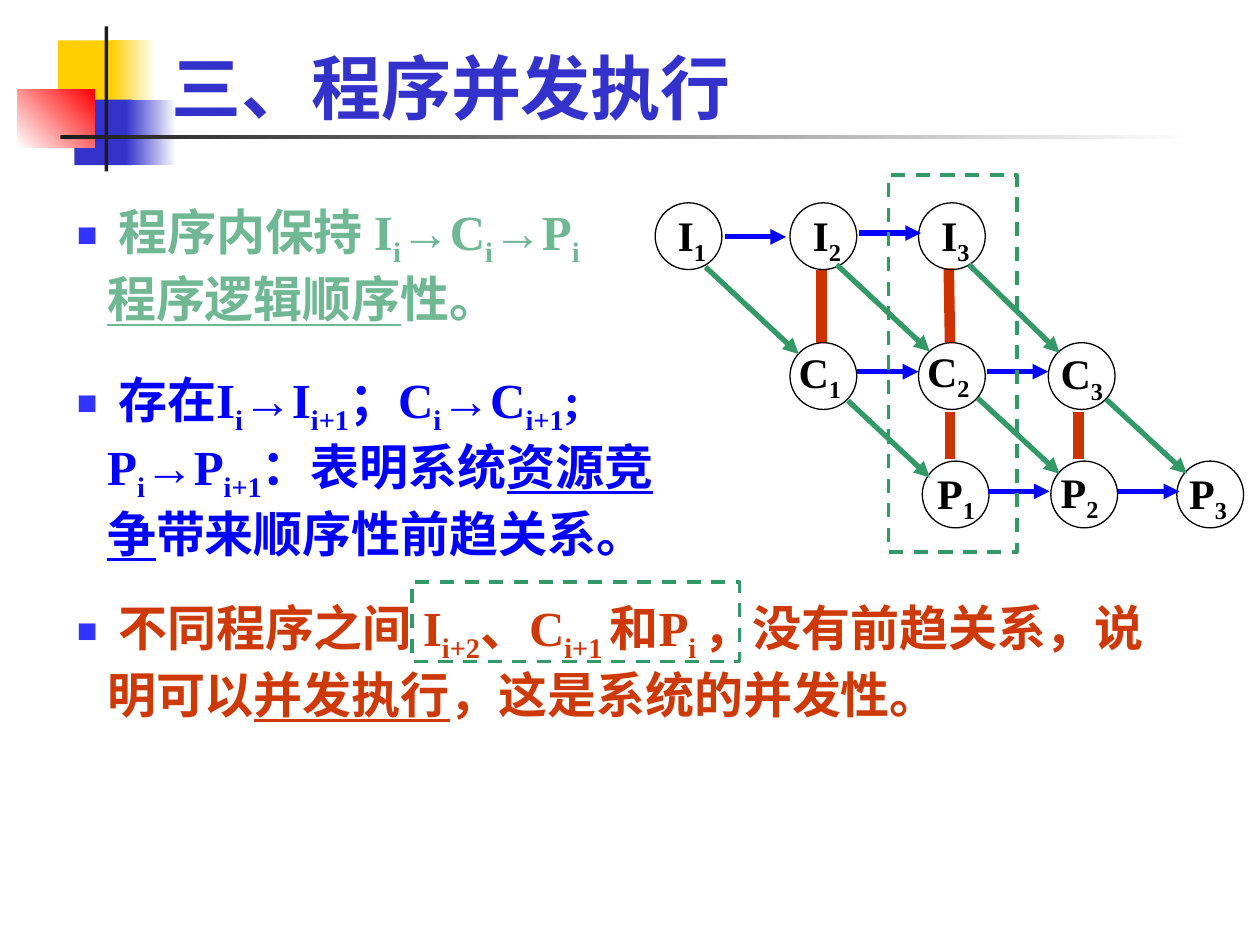
"""Build the slide on concurrent program execution with its precedence graph."""
from pptx import Presentation
from pptx.dml.color import RGBColor
from pptx.enum.dml import MSO_LINE
from pptx.enum.shapes import MSO_CONNECTOR, MSO_SHAPE
from pptx.enum.text import MSO_ANCHOR, MSO_AUTO_SIZE, PP_ALIGN
from pptx.oxml.ns import qn
from pptx.util import Inches, Pt
from lxml.etree import SubElement

LATIN, CJK = "Times New Roman", "Noto Sans CJK SC"
BLUE, GREEN, RED = "0000FF", "339966", "CC3300"
DIAMETER = 0.53

DECOR = [
    (0.46, 0.32, 0.48, 0.52, "FFCF01", None, 0),
    (0.88, 0.32, 0.36, 0.52, "FFCF01", "FFFFFF", 0),
    (0.59, 0.79, 0.46, 0.52, "3333CC", None, 0),
    (1.0, 0.79, 0.4, 0.52, "3333CC", "FFFFFF", 0),
    (0.14, 0.71, 0.61, 0.46, "FFFFFF", "FF0000", 45),
    (0.83, 0.21, 0.03, 1.15, "1C1C1C", None, 0),
    (0.48, 1.07, 9, 0.03, "1C1C1C", "FFFFFF", 0),
]
# In the point texts "|" parts the runs, "_" opens a subscript and "*" an underline.
POINTS = [
    (1, (0.51, 1.55, 4.41, 1.03), "70B794",
     " 程序内保持 I|_i|→C|_i|→P|_i  |*程序逻辑顺序|性。"),
    (2, (0.51, 2.88, 5.15, 1.5), BLUE,
     " 存在I|_i|→I|_i+1|;C|_i|→C|_i+1|; P|_i|→P|_i+1|:表明系统|*资源竞争|带来顺序性前趋关系。"
     .replace("|;C", "|;C").replace("|:", "|:")),
    (3, (0.51, 4.69, 8.74, 1.04), "CE3908",
     " 不同程序之间 I|_i+2|、C|_i+1 |和P|_i |,没有前趋关系,说明可以|*并发执行|,这是系统的并发性。"
     .replace(",", "\uff0c")),
]
ROWS = [
    ("I", 1.61, 0.52, [(5.2, 0.08, 0), (6.27, 0.08, 0), (7.29, 0.08, 0)]),
    ("C", 2.72, 0.66, [(6.27, -0.03, -0.02), (7.29, -0.03, -0.03), (8.32, 0, -0.01)]),
    ("P", 3.66, 0.66, [(7.32, 0.02, 0), (8.34, -0.02, -0.01), (9.34, 0, 0)]),
]
BARS = [(6.52, 2.14, 6.52, 2.72), (7.54, 3.27, 7.54, 3.64),
        (7.53, 2.13, 7.54, 2.72), (8.56, 3.27, 8.56, 3.64)]
NEXT_STEP = [(5.6, 2.12, 6.34, 2.81), (6.64, 2.1, 7.38, 2.79), (7.69, 2.1, 8.41, 2.8),
             (6.73, 3.18, 7.38, 3.79), (7.76, 3.16, 8.41, 3.76), (8.78, 3.17, 9.42, 3.76)]
NEXT_PROGRAM = [(5.75, 1.88), (6.82, 1.85), (6.8, 2.95), (7.83, 2.95), (7.84, 3.9), (8.87, 3.9)]
FRAMES = [(7.05, 1.39, 1.02, 2.99), (3.27, 4.62, 2.6, 0.63)]


def rgb(value):
    return RGBColor.from_string(value)


def box(*lengths):
    return [Inches(v) for v in lengths]


def place(sp, at):
    sp.left, sp.top, sp.width, sp.height = box(*at)


def add_run(p, text, size, color, latin=LATIN):
    r = p.add_run()
    r.text = text.lstrip("_*")
    f = r.font
    f.size, f.bold, f.name = Pt(size), True, latin
    f.color.rgb = rgb(color)
    rpr = r._r.get_or_add_rPr()
    SubElement(rpr, qn("a:ea")).set("typeface", CJK)
    if text.startswith("_"):
        rpr.set("baseline", "-25000")
    if text.startswith("*"):
        f.underline = True


def add_outline(slide, kind, at, color, width):
    sp = slide.shapes.add_shape(kind, *box(*at))
    sp.shadow.inherit = False
    sp.fill.background()
    sp.line.color.rgb = rgb(color)
    sp.line.width = Pt(width)
    return sp


def add_decor(slide):
    tree = slide.shapes._spTree
    for i, (x, y, w, h, color, end, angle) in enumerate(DECOR):
        sp = slide.shapes.add_shape(MSO_SHAPE.RECTANGLE, *box(x, y, w, h))
        sp.shadow.inherit = False
        sp.line.fill.background()
        if end:
            sp.fill.gradient()
            sp.fill.gradient_angle = angle
            for stop, value in zip(sp.fill.gradient_stops, (color, end)):
                stop.color.rgb = rgb(value)
        else:
            sp.fill.solid()
            sp.fill.fore_color.rgb = rgb(color)
        tree.insert(2 + i, sp._element)


def fill_title(sp):
    place(sp, (1.26, 0.37, 6.97, 0.7))
    tf = sp.text_frame
    tf.vertical_anchor = MSO_ANCHOR.BOTTOM
    tf.auto_size = MSO_AUTO_SIZE.NONE
    p = tf.paragraphs[0]
    p.alignment = PP_ALIGN.LEFT
    add_run(p, "三、程序并发执行", 40, "3333CC", CJK)


def add_bullet(p):
    ppr = p._p.get_or_add_pPr()
    ppr.set("marL", str(Inches(0.24)))
    ppr.set("indent", str(-Inches(0.24)))
    color = SubElement(ppr, qn("a:buClr"))
    SubElement(color, qn("a:srgbClr")).set("val", "3333FF")
    SubElement(ppr, qn("a:buSzPct")).set("val", "70000")
    SubElement(ppr, qn("a:buFont")).set("typeface", LATIN)
    SubElement(ppr, qn("a:buChar")).set("char", "■")


def fill_point(sp, at, color, text):
    place(sp, at)
    tf = sp.text_frame
    tf.vertical_anchor = MSO_ANCHOR.TOP
    tf.auto_size = MSO_AUTO_SIZE.SHAPE_TO_FIT_TEXT
    p = tf.paragraphs[0]
    p.space_before = Pt(0)
    add_bullet(p)
    for part in text.split("|"):
        add_run(p, part, 28, color)


def add_line(slide, ends, color, width, arrow=True):
    cx = slide.shapes.add_connector(MSO_CONNECTOR.STRAIGHT, *box(*ends))
    cx.line.color.rgb = rgb(color)
    cx.line.width = Pt(width)
    if arrow:
        SubElement(cx.line._get_or_add_ln(), qn("a:tailEnd")).set("type", "triangle")
    SubElement(cx._element.spPr, qn("a:effectLst"))


def add_node(slide, name, number, x, y, dx, dy, width):
    add_outline(slide, MSO_SHAPE.OVAL, (x, y, DIAMETER, DIAMETER), "000000", 0.75)
    tb = slide.shapes.add_textbox(*box(x + dx, y + dy, width, 0.56))
    tb.text_frame.word_wrap = True
    p = tb.text_frame.paragraphs[0]
    p.alignment = PP_ALIGN.JUSTIFY
    add_run(p, name, 24, "000000")
    add_run(p, f"_{number}", 24, "000000")


def add_graph(slide):
    for ends in BARS:
        add_line(slide, ends, RED, 6, arrow=False)
    for name, y, width, nodes in ROWS:
        for number, (x, dx, dy) in enumerate(nodes, 1):
            add_node(slide, name, number, x, y, dx, dy, width)
    for ends in NEXT_STEP:
        add_line(slide, ends, GREEN, 3)
    for x, y in NEXT_PROGRAM:
        add_line(slide, (x, y, x + 0.49, y), BLUE, 3)


def main():
    prs = Presentation()
    prs.slide_width, prs.slide_height = box(10, 7.5)
    slide = prs.slides.add_slide(prs.slide_layouts[4])
    holders = {sp.placeholder_format.idx: sp for sp in slide.placeholders}
    add_decor(slide)
    fill_title(holders[0])
    for idx, at, color, text in POINTS:
        fill_point(holders[idx], at, color, text.replace("|;C", "|\uff1bC").replace("|:", "|\uff1a"))
    spare = holders[4]._element
    spare.getparent().remove(spare)
    add_graph(slide)
    for at in FRAMES:
        frame = add_outline(slide, MSO_SHAPE.RECTANGLE, at, GREEN, 2)
        frame.line.dash_style = MSO_LINE.DASH
    prs.save("out.pptx")


main()
